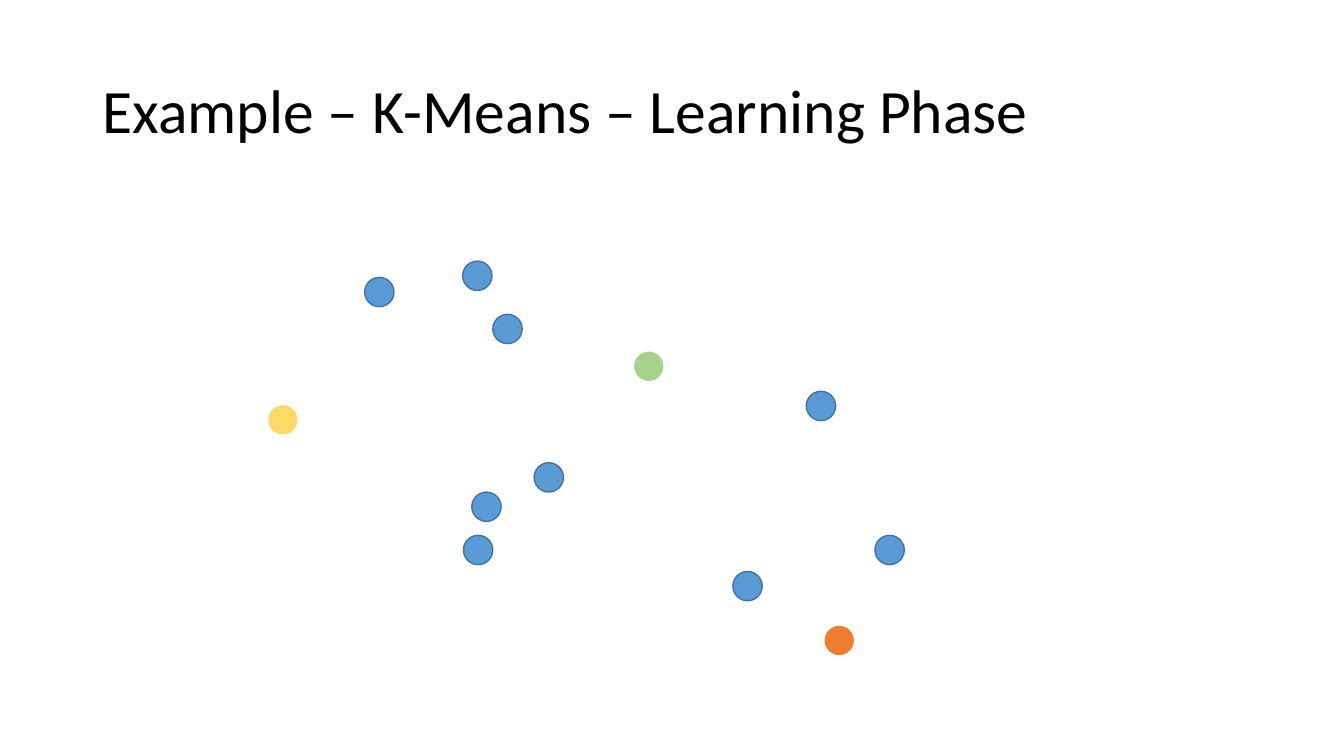
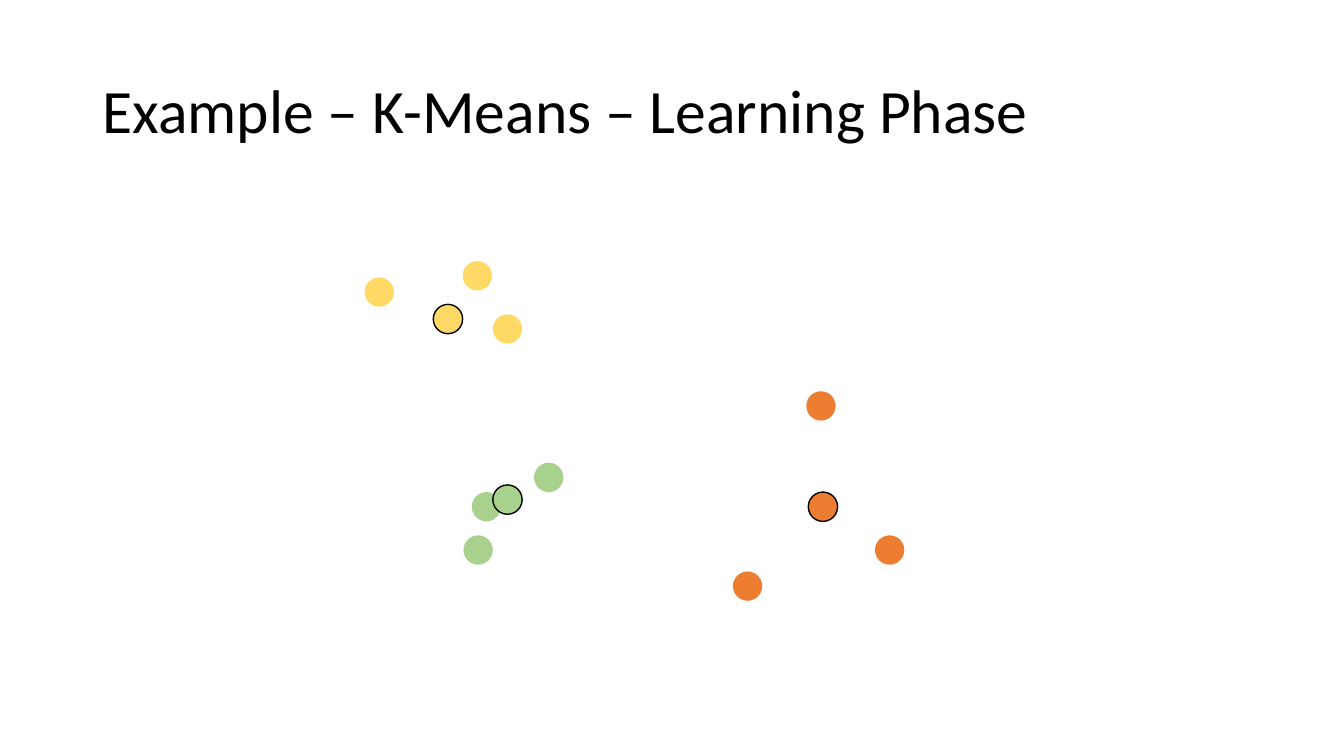
from pptx import Presentation
from pptx.dml.color import RGBColor
from pptx.enum.shapes import MSO_SHAPE as SHAPE
from pptx.enum.text import MSO_ANCHOR as ANCHOR, MSO_AUTO_SIZE as AUTO, PP_ALIGN as ALIGN
from pptx.util import Cm, Pt

TITLE = "Example – K-Means – Learning Phase"
FONT = "Calibri"
COLORS = {
    "text": "000000",
    "outline": "000000",
    "point": "5B9BD5",
    "point_line": "43739E",
    "yellow": "FFD966",
    "green": "A9D18E",
    "orange": "ED7D31",
}
DOT = 0.74
CLUSTERS = {
    "yellow": {
        "points": [(9.19, 6.99), (12.42, 7.92), (11.66, 6.58)],
        "start": (6.76, 10.21),
        "moved": (10.92, 7.67),
    },
    "green": {
        "points": [(11.89, 12.4), (11.68, 13.49), (13.46, 11.66)],
        "start": (15.98, 8.86),
        "moved": (12.42, 12.22),
    },
    "orange": {
        "points": [(20.32, 9.86), (22.05, 13.49), (18.47, 14.4)],
        "start": (20.78, 15.77),
        "moved": (20.37, 12.4),
    },
}
STEPS = [
    {"centroid": "start", "assigned": False},
    {"centroid": "moved", "assigned": True},
]


def rgb(name):
    return RGBColor.from_string(COLORS[name])


def write(tf, text, size=44, color="text", align=ALIGN.LEFT, spacing=0.9):
    tf.word_wrap = True
    tf.auto_size = AUTO.NONE
    tf.vertical_anchor = ANCHOR.MIDDLE
    p = tf.paragraphs[0]
    p.alignment = align
    p.line_spacing = spacing
    r = p.add_run()
    r.text = text
    r.font.name = FONT
    r.font.size = Pt(size)
    r.font.color.rgb = rgb(color)


def add_title(s):
    sp = s.shapes.title
    sp.left, sp.top, sp.width, sp.height = Cm(2.33), Cm(1.01), Cm(29.21), Cm(3.68)
    write(sp.text_frame, TITLE)


def add_dot(s, pos, fill, line=None):
    x, y = pos
    sp = s.shapes.add_shape(SHAPE.OVAL, Cm(x), Cm(y), Cm(DOT), Cm(DOT))
    sp.shadow.inherit = False
    sp.fill.solid()
    sp.fill.fore_color.rgb = rgb(fill)
    if line:
        sp.line.color.rgb = rgb(line)
        sp.line.width = Pt(1)
    else:
        sp.line.fill.background()


def add_step(prs, centroid, assigned):
    s = prs.slides.add_slide(prs.slide_layouts[5])
    add_title(s)
    for color, cluster in CLUSTERS.items():
        for pos in cluster["points"]:
            if assigned:
                add_dot(s, pos, color)
            else:
                add_dot(s, pos, "point", "point_line")
        add_dot(s, cluster[centroid], color, "outline" if assigned else None)


def main():
    prs = Presentation()
    prs.slide_width, prs.slide_height = Cm(33.87), Cm(19.05)
    for step in STEPS:
        add_step(prs, **step)
    prs.save("out.pptx")


if __name__ == "__main__":
    main()
